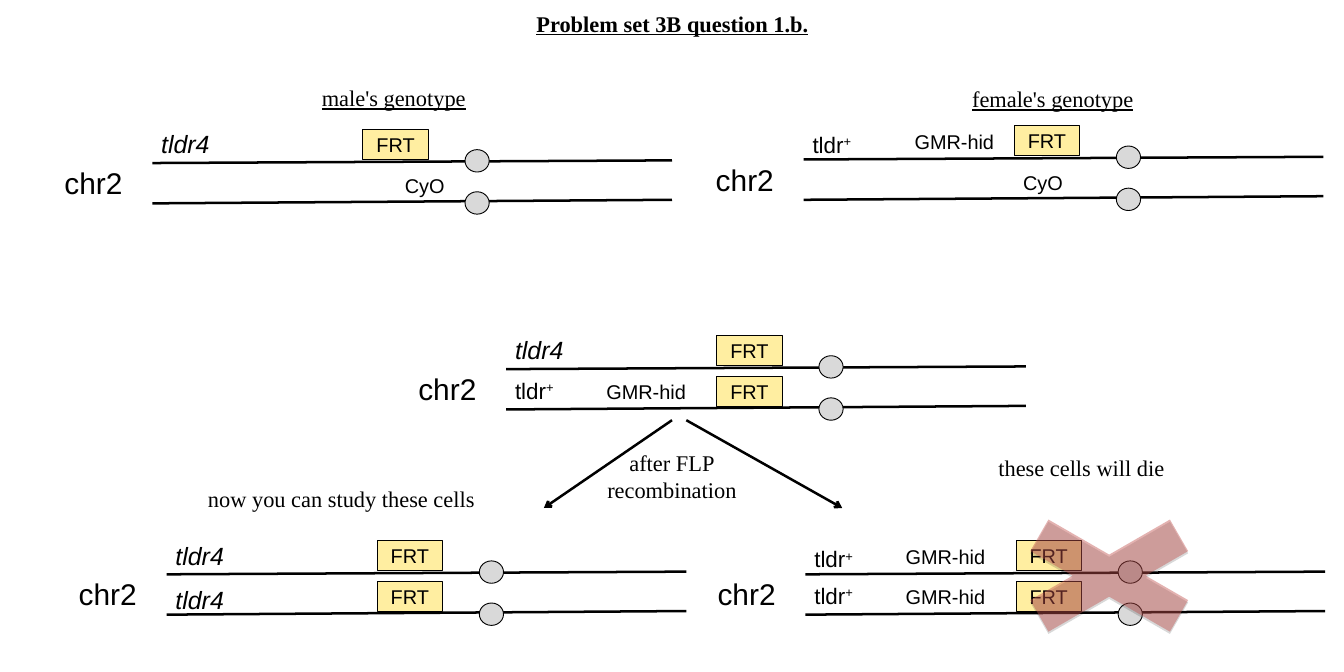
from dataclasses import dataclass

from lxml import etree
from pptx import Presentation
from pptx import util as u
from pptx.dml.color import RGBColor
from pptx.enum import shapes, text
from pptx.oxml import ns


@dataclass(frozen=True)
class Theme:
    ink: str = "000000"
    site: str = "FFEEA1"
    centromere: str = "D9D9D9"
    cross: str = "C0504D"
    sans: str = "Arial"
    serif: str = "Times New Roman"
    chromosome: int = 24
    allele: int = 20
    body: int = 18
    marker: int = 16
    strand: float = 2
    outline: float = 0.75


ROW_GAP = 0.45
LOCI = {
    "tldr4": (0, (-0.43, 0.07), 2.15, 0.44),
    "tldr+": (0, (-0.37, 0.04), 0.77, 0.4),
    "GMR-hid": (1.02, (-0.38, 0.07), 1.33, 0.37),
    "FRT": (2.35, (-0.38, 0.08), 0.73, 0.34),
    "CyO": (2.35, (-0.38, 0.07), 0.77, 0.37),
}
MUTANT = {"tldr4": 0, "FRT": 0}
LETHAL = {"tldr+": 0, "GMR-hid": 0, "FRT": 0}
PAIRS = [
    (1.7, 1.82, MUTANT, {"CyO": 0.37}),
    (8.97, 1.78, {"tldr+": 0, "GMR-hid": 0.12, "FRT": 0}, {"CyO": 0}),
    (5.65, 4.12, MUTANT, LETHAL),
    (1.86, 6.41, MUTANT, MUTANT),
    (8.99, 6.41, LETHAL, LETHAL),
]
CAPTIONS = [
    (["male's genotype"], (3.34, 0.89, 2.11, 0.4), True),
    (["female's genotype"], (10.58, 0.9, 2.34, 0.4), True),
    (["after FLP", "recombination"], (6.52, 4.96, 1.96, 0.7), False),
    (["these cells will die"], (10.89, 5.02, 2.36, 0.4), False),
    (["now you can study these cells"], (1.95, 5.36, 3.72, 0.4), False),
]


class GenotypeSlide:
    """Draws chromosome pairs and captions on one slide in a shared style."""

    def __init__(self, page, theme):
        self.page = page
        self.theme = theme

    def span(self, para, words, size, font, bold=False, italic=False, underline=False):
        span = para.add_run()
        span.text = words
        span.font.size = u.Pt(size)
        span.font.name = font
        span.font.bold = bold
        span.font.italic = italic
        span.font.underline = underline
        span.font.color.rgb = RGBColor.from_string(self.theme.ink)
        return span

    def title(self, words, area):
        box = self.page.shapes.title
        box.left, box.top, box.width, box.height = map(u.Inches, area)
        frame = box.text_frame
        frame.auto_size = text.MSO_AUTO_SIZE.NONE
        frame.word_wrap = False
        frame.vertical_anchor = text.MSO_ANCHOR.TOP
        para = frame.paragraphs[0]
        para.alignment = text.PP_ALIGN.CENTER
        self.span(para, words, self.theme.body, self.theme.serif, bold=True, underline=True)

    def textbox(self, area, wrap=True):
        box = self.page.shapes.add_textbox(*map(u.Inches, area))
        box.text_frame.word_wrap = wrap
        return box.text_frame

    def caption(self, lines, area, underline):
        frame = self.textbox(area, wrap=False)
        for index, words in enumerate(lines):
            para = frame.add_paragraph() if index else frame.paragraphs[0]
            para.alignment = text.PP_ALIGN.CENTER
            self.span(para, words, self.theme.body, self.theme.serif, underline=underline)

    def line(self, start, end, arrow=False):
        points = map(u.Inches, (*start, *end))
        line = self.page.shapes.add_connector(shapes.MSO_CONNECTOR.STRAIGHT, *points)
        line.line.color.rgb = RGBColor.from_string(self.theme.ink)
        line.line.width = u.Pt(self.theme.strand)
        if arrow:
            etree.SubElement(line.line._ln, ns.qn("a:tailEnd"), type="arrow")
        etree.SubElement(line._element.spPr, ns.qn("a:effectLst"))

    def shape(self, kind, area, fill):
        shape = self.page.shapes.add_shape(kind, *map(u.Inches, area))
        shape.shadow.inherit = False
        shape.fill.solid()
        shape.fill.fore_color.rgb = RGBColor.from_string(fill)
        shape.line.color.rgb = RGBColor.from_string(self.theme.ink)
        shape.line.width = u.Pt(self.theme.outline)
        return shape

    def locus(self, name, area):
        theme = self.theme
        if name == "FRT":
            site = self.shape(shapes.MSO_SHAPE.RECTANGLE, area, theme.site)
            site.text_frame.vertical_anchor = text.MSO_ANCHOR.MIDDLE
            para = site.text_frame.paragraphs[0]
            para.alignment = text.PP_ALIGN.CENTER
        else:
            para = self.textbox(area).paragraphs[0]
        if name == "tldr4":
            self.span(para, name, theme.allele, theme.sans, italic=True)
        elif name == "tldr+":
            self.span(para, "tldr", theme.body, theme.sans)
            plus = self.span(para, "+", theme.body, theme.sans)
            plus.font._element.set("baseline", "30000")
        else:
            self.span(para, name, theme.marker, theme.sans)

    def pair(self, left, top, *strands):
        for row in range(len(strands)):
            y = top + row * ROW_GAP
            self.line((left, y), (left + 5.8, y - 0.03 - row * 0.01))
        for row in range(len(strands)):
            area = (left + 3.49, top - 0.15 + row * 0.47, 0.27, 0.25)
            self.shape(shapes.MSO_SHAPE.OVAL, area, self.theme.centromere)
        label = self.textbox((left - 1.08, top - 0.03, 0.9, 0.5))
        self.span(label.paragraphs[0], "chr2", self.theme.chromosome, self.theme.sans)
        for row, strand in enumerate(strands):
            for name, shift in strand.items():
                offset, drops, width, height = LOCI[name]
                self.locus(name, (left + offset + shift, top + drops[row], width, height))

    def cross(self, area):
        cross = self.shape(shapes.MSO_SHAPE.MATH_MULTIPLY, area, self.theme.cross)
        cross.line.fill.background()
        properties = cross._element.spPr
        tint = properties.find(ns.qn("a:solidFill")).find(ns.qn("a:srgbClr"))
        etree.SubElement(tint, ns.qn("a:alpha"), val="44000")
        effects = properties.find(ns.qn("a:effectLst"))
        shadow = etree.SubElement(effects, ns.qn("a:outerShdw"), blurRad="0",
                                  dist=str(u.Pt(1.8)), dir="5400000", rotWithShape="0")
        shade = etree.SubElement(shadow, ns.qn("a:srgbClr"), val=self.theme.ink)
        etree.SubElement(shade, ns.qn("a:alpha"), val="35000")


def main():
    deck = Presentation()
    deck.slide_width, deck.slide_height = u.Inches(15), u.Inches(7.5)
    slide = GenotypeSlide(deck.slides.add_slide(deck.slide_layouts[5]), Theme())
    slide.title("Problem set 3B question 1.b.", (5.62, 0.06, 3.77, 0.7))
    for pair in PAIRS:
        slide.pair(*pair)
    slide.line((7.5, 4.69), (6.07, 5.67), arrow=True)
    slide.line((7.66, 4.69), (9.4, 5.67), arrow=True)
    slide.cross((10.88, 5.56, 3, 1.73))
    for caption in CAPTIONS:
        slide.caption(*caption)
    deck.save("out.pptx")


if __name__ == "__main__":
    main()
